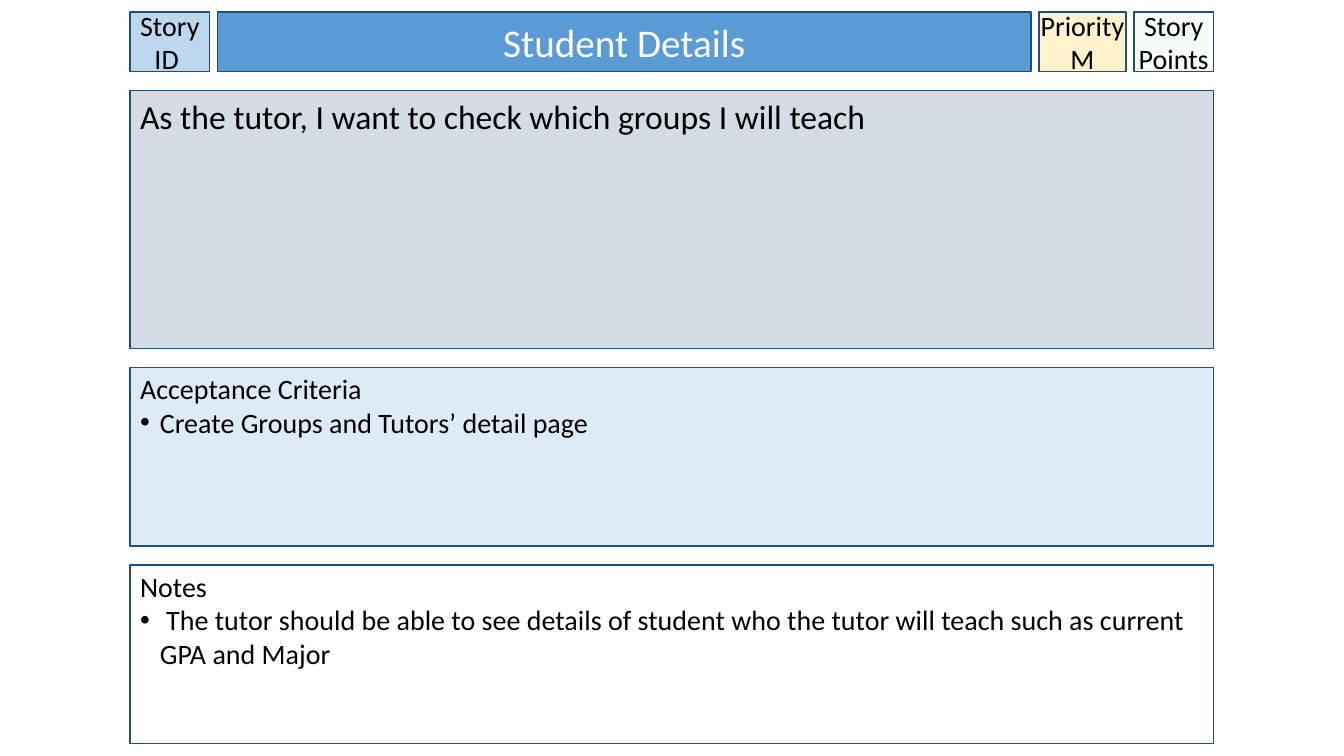
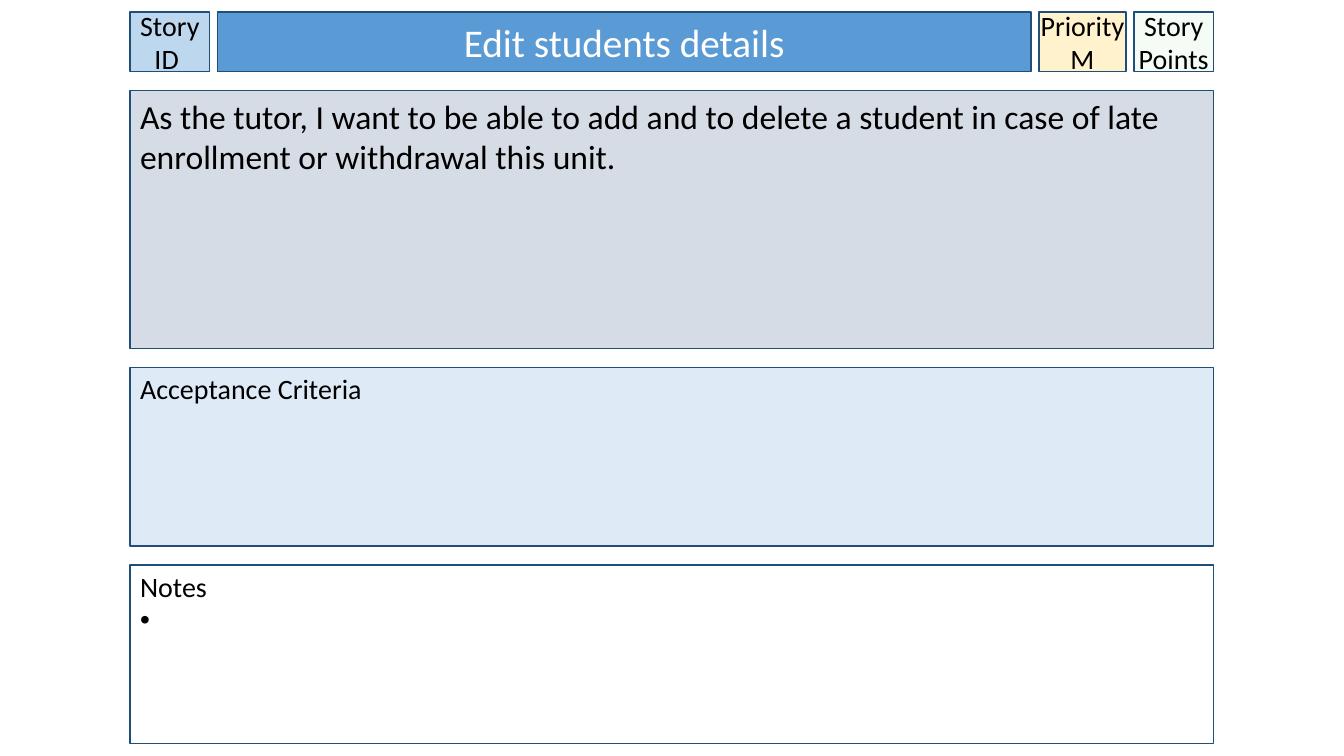
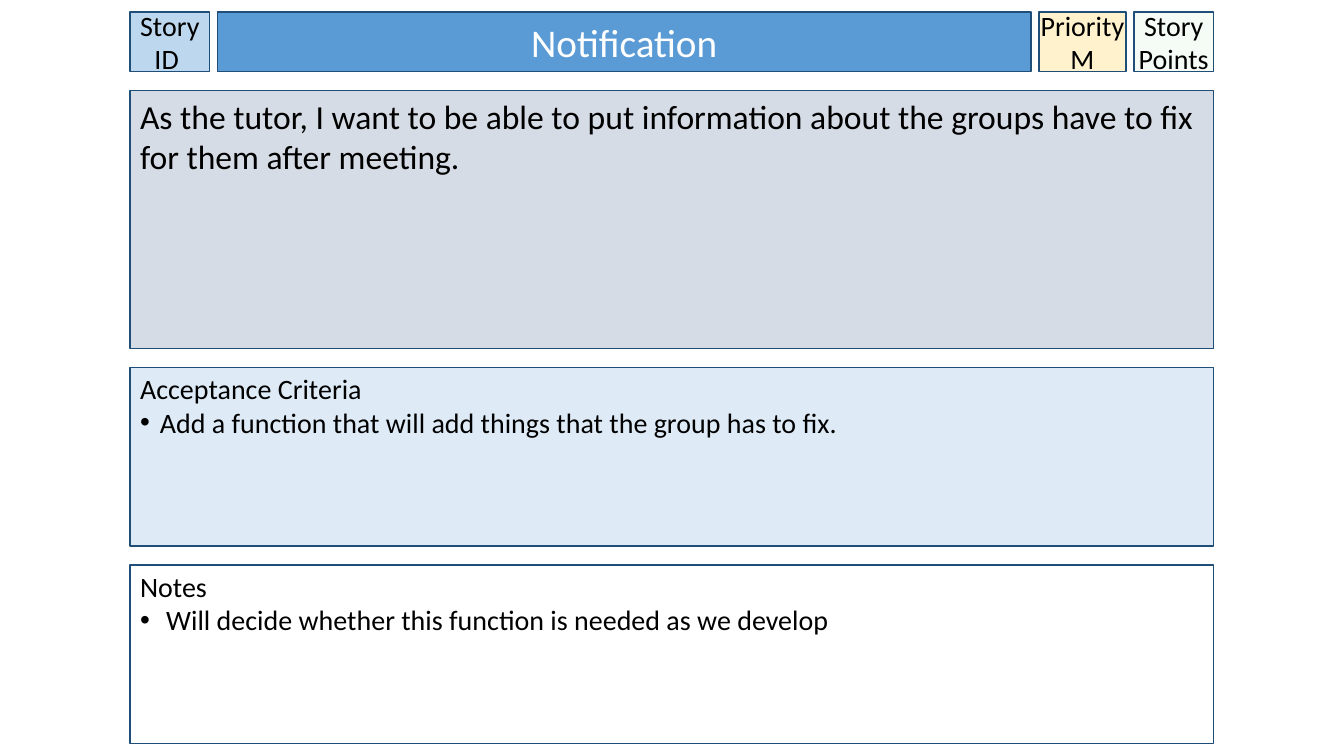
import pptx
import pptx.dml.color
import pptx.enum.shapes
import pptx.enum.text
import pptx.oxml
import pptx.oxml.ns
import pptx.util
from pptx.util import Cm

COLORS = {
    "outline": "1F4E79",
    "text": "000000",
    "title_text": "FFFFFF",
    "story_id": "BDD7EE",
    "title": "5B9BD5",
    "priority": "FFF2CC",
    "points": "CCF0CD",
    "story": "D6DCE5",
    "criteria": "DEEBF7",
    "notes": "FFFFFF",
}
FONT = "Calibri"

# Card grid, in centimetres
LEFT, TOP, WIDTH = 3.28, 0.3, 27.3
HEADER_HEIGHT, HEADER_GAP, ROW_GAP = 1.5, 0.2, 0.48
BULLET_INDENT = 0.5

# Title, story, acceptance criteria, notes
STORIES = [
    ("Student Details",
     "As the tutor, I want to check which groups I will teach",
     ["Create Groups and Tutors’ detail page"],
     [" The tutor should be able to see details of student who the tutor "
      "will teach such as current GPA and Major"]),
    ("Edit students details",
     "As the tutor, I want to be able to add and to delete a student in case "
     "of late enrollment or withdrawal this unit.",
     [],
     [" "]),
    ("Notification",
     "As the tutor, I want to be able to put information about the groups "
     "have to fix for them after meeting.",
     ["Add a function that will add things that the group has to fix."],
     [" Will decide whether this function is needed as we develop"]),
]


def rgb(name):
    return pptx.dml.color.RGBColor.from_string(COLORS[name])


def set_opacity(box, percent):
    color = box.element.spPr.find(".//" + pptx.oxml.ns.qn("a:srgbClr"))
    color.append(pptx.oxml.parse_xml(
        f'<a:alpha {pptx.oxml.ns.nsdecls("a")} val="{percent * 1000}"/>'))


def add_bullet(para):
    props = para._p.get_or_add_pPr()
    indent = Cm(BULLET_INDENT)
    props.set("marL", str(indent))
    props.set("indent", str(-indent))
    namespace = pptx.oxml.ns.nsdecls("a")
    props.insert(0, pptx.oxml.parse_xml(f'<a:buFont {namespace} typeface="Arial"/>'))
    props.insert(1, pptx.oxml.parse_xml(f'<a:buChar {namespace} char="•"/>'))


def add_box(page, area, fill, lines, size=20, color="text", centered=False,
            side_inset=0.25, top_inset=0.13, wrap=True, bullets=()):
    """Outlined rectangle with plain lines followed by bulleted ones."""
    box = page.shapes.add_shape(pptx.enum.shapes.MSO_SHAPE.RECTANGLE,
                                *(Cm(length) for length in area))
    box.shadow.inherit = False
    box.fill.solid()
    box.fill.fore_color.rgb = rgb(fill)
    box.line.color.rgb = rgb("outline")
    box.line.width = pptx.util.Pt(1)

    frame = box.text_frame
    frame.word_wrap = wrap
    frame.margin_left = frame.margin_right = Cm(side_inset)
    frame.margin_top, frame.margin_bottom = Cm(top_inset), Cm(0.13)
    anchors = pptx.enum.text.MSO_ANCHOR
    frame.vertical_anchor = anchors.MIDDLE if centered else anchors.TOP
    frame.text = "\n".join([*lines, *bullets])

    alignments = pptx.enum.text.PP_ALIGN
    for index, para in enumerate(frame.paragraphs):
        para.alignment = alignments.CENTER if centered else alignments.LEFT
        para.font.name = FONT
        para.font.size = pptx.util.Pt(size)
        para.font.color.rgb = rgb(color)
        if index >= len(lines):
            add_bullet(para)
    return box


def add_header(page, title):
    label = {"side_inset": 0}
    cells = [
        (2, "story_id", ["Story ID "], label),
        (20.5, "title", [title], {"size": 28, "color": "title_text"}),
        (2.2, "priority", ["Priority", "M"], {**label, "wrap": False}),
        (2, "points", ["Story Points"], label),
    ]
    left = LEFT
    for width, fill, lines, style in cells:
        box = add_box(page, (left, TOP, width, HEADER_HEIGHT), fill, lines,
                      centered=True, **style)
        if fill == "points":
            set_opacity(box, 20)
        left += width + HEADER_GAP


def add_sections(page, story, criteria, notes):
    sections = [
        (6.5, "story", story, {"size": 24}),
        (4.5, "criteria", "Acceptance Criteria",
         {"top_inset": 0.1, "bullets": criteria}),
        (4.5, "notes", "Notes", {"top_inset": 0.1, "bullets": notes}),
    ]
    top = TOP + HEADER_HEIGHT + ROW_GAP
    for height, fill, heading, style in sections:
        add_box(page, (LEFT, top, WIDTH, height), fill, [heading], **style)
        top += height + ROW_GAP


def main():
    deck = pptx.Presentation()
    deck.slide_width, deck.slide_height = Cm(33.87), Cm(19.05)
    for title, story, criteria, notes in STORIES:
        page = deck.slides.add_slide(deck.slide_layouts[6])
        add_header(page, title)
        add_sections(page, story, criteria, notes)
    deck.save("out.pptx")


if __name__ == "__main__":
    main()
